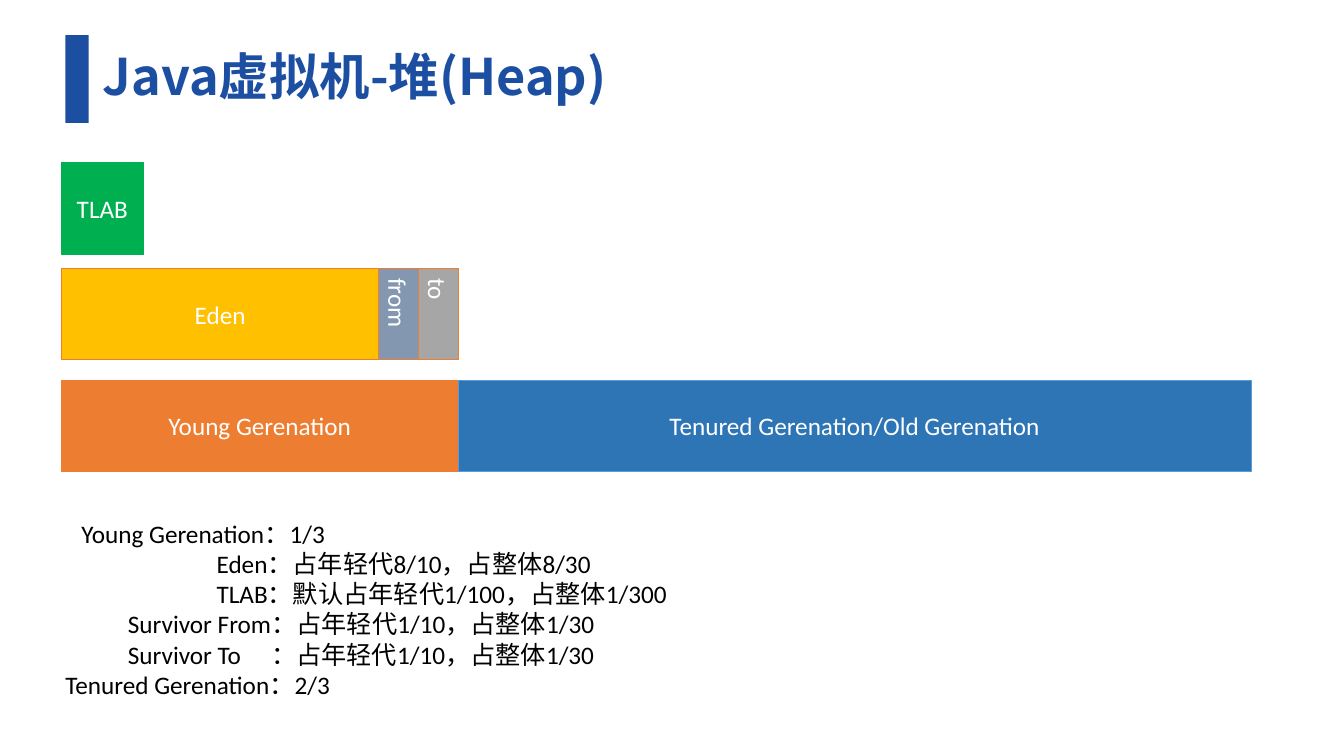
from dataclasses import dataclass

from lxml import etree
from pptx import Presentation
from pptx import util as u
from pptx.dml.color import RGBColor
from pptx.enum import lang, shapes, text
from pptx.oxml import ns


@dataclass(frozen=True)
class Theme:
    navy: str = "1C4FA2"
    orange: str = "ED7D31"
    blue: str = "2E75B6"
    blue_edge: str = "5B9BD5"
    amber: str = "FFC000"
    slate: str = "8497B0"
    grey: str = "A6A6A6"
    green: str = "00B050"
    white: str = "FFFFFF"
    black: str = "000000"
    latin: str = "Calibri"
    chinese: str = "Noto Sans CJK SC"
    title_size: int = 36
    body_size: int = 18


THEME = Theme()

# The heap bar is divided into 30 columns, so each region spans its share.
HEAP_LEFT, HEAP_WIDTH, COLUMNS = 0.61, 11.8, 30
COLUMN = HEAP_WIDTH / COLUMNS
ROW_TOPS = (1.61, 2.66, 3.77)
ROW_HEIGHT = 0.91
VERTICAL_LABEL_WIDTH = 0.5


@dataclass(frozen=True)
class Region:
    label: str
    row: int
    column: float
    span: float
    fill: str
    edge: str
    vertical: bool = False


@dataclass(frozen=True)
class Share:
    """A line of the summary, with its tab stops in inches."""
    line: str
    stops: tuple[float, ...] = ()


REGIONS = (
    Region("Young Gerenation", 2, 0, 10, THEME.orange, THEME.orange),
    Region("Tenured Gerenation/Old Gerenation", 2, 10, 20, THEME.blue, THEME.blue_edge),
    Region("Eden", 1, 0, 8, THEME.amber, THEME.orange),
    Region("from", 1, 8, 1, THEME.slate, THEME.orange, vertical=True),
    Region("to", 1, 9, 1, THEME.grey, THEME.orange, vertical=True),
    Region("TLAB", 0, 0, 2.06, THEME.green, THEME.green),
)

SHARES = (
    Share("\tYoung Gerenation：1/3", (0.16,)),
    Share("\tEden：占年轻代8/10，占整体8/30", (1.5,)),
    Share("\tTLAB：默认占年轻代1/100，占整体1/300", (1.5,)),
    Share("\tSurvivor From：占年轻代1/10，占整体1/30", (0.62,)),
    Share("\tSurvivor To\t：占年轻代1/10，占整体1/30", (0.62, 2.04)),
    Share("Tenured Gerenation：2/3"),
)


def inches(*lengths: float) -> list[int]:
    return [u.Inches(length) for length in lengths]


def format_runs(para, size: int, color: str, latin: str = THEME.latin, bold: bool = False) -> None:
    for span in para.runs:
        span.font.name = latin
        span.font.size = u.Pt(size)
        span.font.bold = bold
        span.font.color.rgb = RGBColor.from_string(color)
        span.font.language_id = lang.MSO_LANGUAGE_ID.SIMPLIFIED_CHINESE
        east_asian = etree.SubElement(span.font._element, ns.qn("a:ea"))
        east_asian.set("typeface", THEME.chinese)


def add_block(page, bounds: list[int], fill: str, edge: str | None = None):
    box = page.shapes.add_shape(shapes.MSO_SHAPE.RECTANGLE, *bounds)
    box.shadow.inherit = False
    box.fill.solid()
    box.fill.fore_color.rgb = RGBColor.from_string(fill)
    if edge:
        box.line.color.rgb = RGBColor.from_string(edge)
        box.line.width = u.Pt(0.5)
    else:
        box.line.fill.background()
    return box


def add_region(page, region: Region) -> None:
    left = HEAP_LEFT + region.column * COLUMN
    width = region.span * COLUMN
    top = ROW_TOPS[region.row]
    box = add_block(page, inches(left, top, width, ROW_HEIGHT), region.fill, region.edge)
    if region.vertical:
        label_left = left + (width - VERTICAL_LABEL_WIDTH) / 2
        box = page.shapes.add_textbox(*inches(label_left, top, VERTICAL_LABEL_WIDTH, ROW_HEIGHT))
        box.text_frame._txBody.bodyPr.set("vert", "eaVert")
    frame = box.text_frame
    frame.word_wrap = True
    frame.vertical_anchor = text.MSO_ANCHOR.MIDDLE
    frame.text = region.label
    para = frame.paragraphs[0]
    para.alignment = text.PP_ALIGN.LEFT if region.vertical else text.PP_ALIGN.CENTER
    format_runs(para, THEME.body_size, THEME.white)


def add_title(page) -> None:
    add_block(page, inches(0.65, 0.35, 0.23, 0.87), THEME.navy)
    title = page.shapes.title
    title.left, title.top, title.width, title.height = inches(0.92, 0.25, 11.5, 1.07)
    frame = title.text_frame
    frame.text = "Java虚拟机-堆(Heap)"
    frame.vertical_anchor = text.MSO_ANCHOR.MIDDLE
    para = frame.paragraphs[0]
    para.alignment = text.PP_ALIGN.LEFT
    para.line_spacing = 0.9
    format_runs(para, THEME.title_size, THEME.navy, THEME.chinese, bold=True)


def set_tab_stops(para, stops: tuple[float, ...]) -> None:
    tabs = etree.SubElement(para._p.get_or_add_pPr(), ns.qn("a:tabLst"))
    for stop in stops:
        etree.SubElement(tabs, ns.qn("a:tab"), pos=str(u.Inches(stop)), algn="l")


def add_summary(page) -> None:
    frame = page.shapes.add_textbox(*inches(0.55, 5.09, 11.91, 1.92)).text_frame
    frame.word_wrap = True
    for index, share in enumerate(SHARES):
        para = frame.add_paragraph() if index else frame.paragraphs[0]
        para.text = share.line
        if share.stops:
            set_tab_stops(para, share.stops)
        format_runs(para, THEME.body_size, THEME.black)


def main() -> None:
    deck = Presentation()
    deck.slide_width, deck.slide_height = inches(13.33, 7.5)
    page = deck.slides.add_slide(deck.slide_layouts.get_by_name("Title Only"))
    add_title(page)
    for region in REGIONS:
        add_region(page, region)
    add_summary(page)
    deck.save("out.pptx")


if __name__ == "__main__":
    main()
